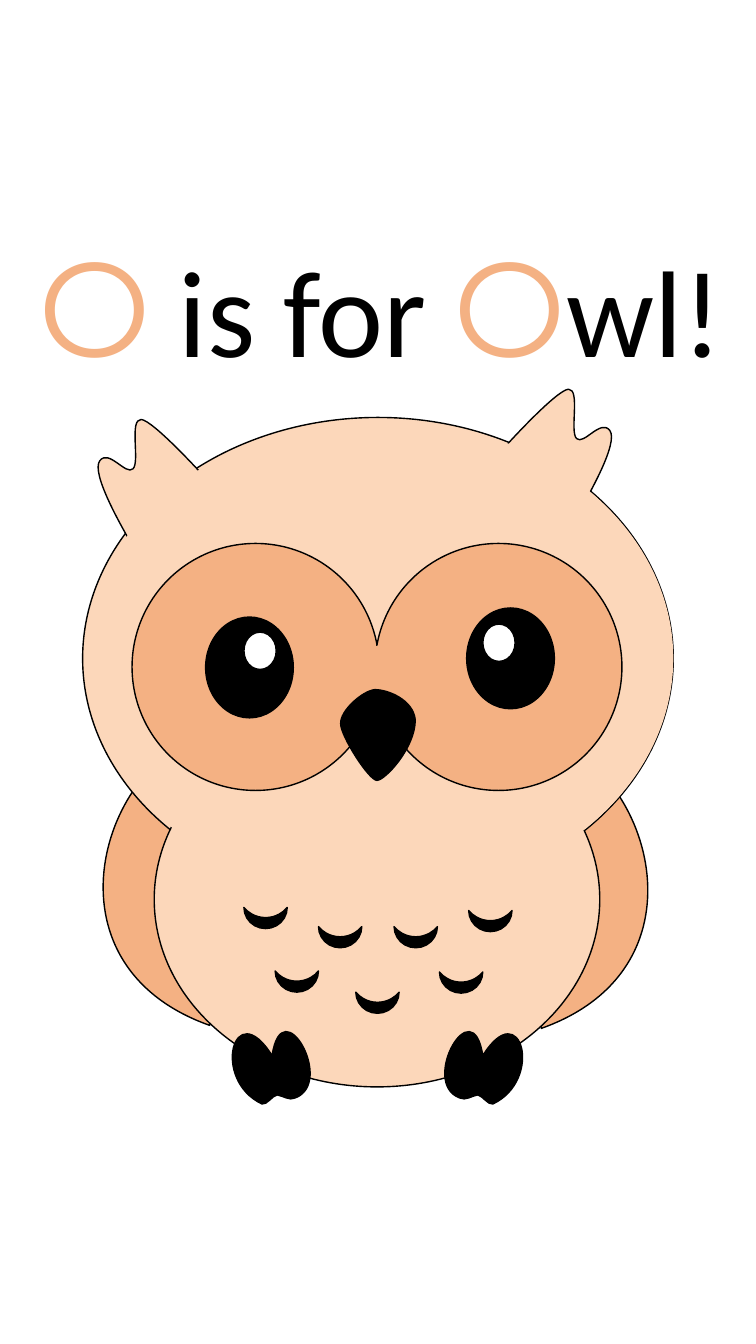
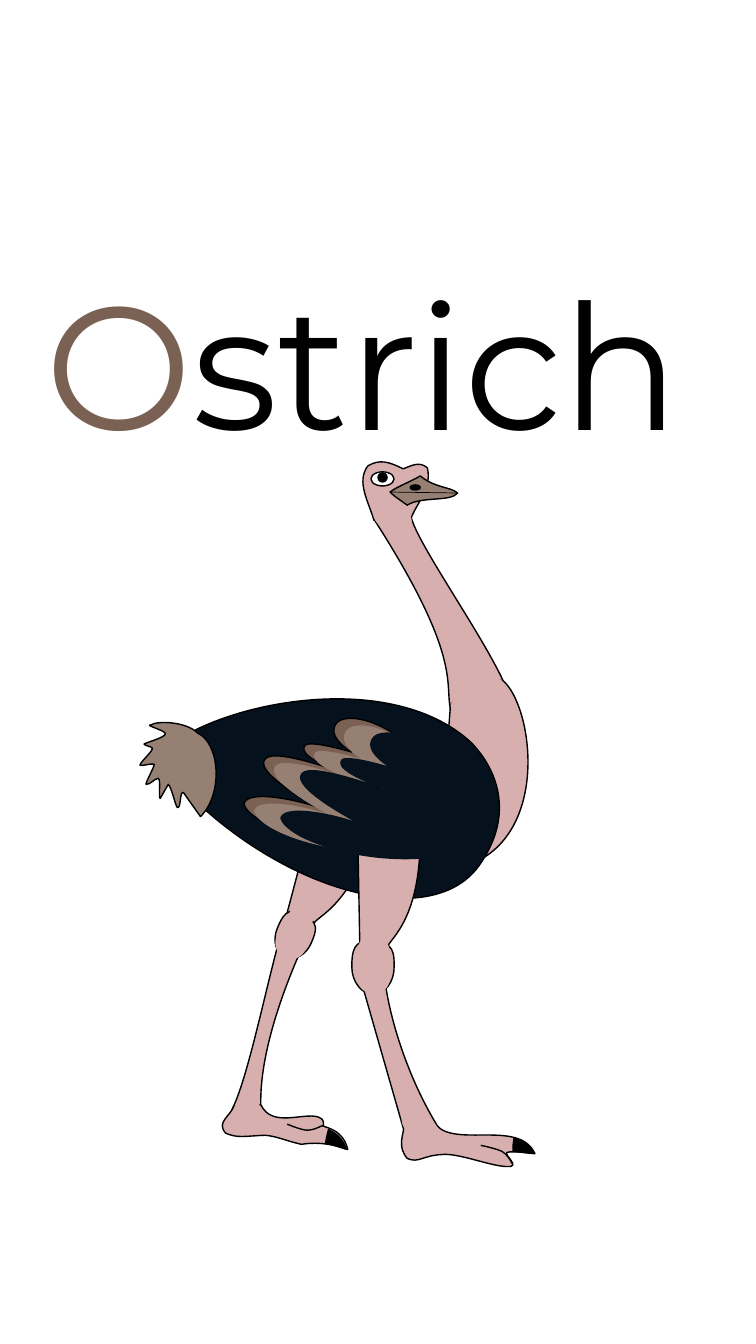
from lxml import etree
from pptx import Presentation
from pptx.dml.color import RGBColor
from pptx.enum.shapes import MSO_CONNECTOR, MSO_SHAPE
from pptx.enum.text import MSO_AUTO_SIZE, PP_ALIGN
from pptx.oxml.ns import qn
from pptx.util import Cm, Pt

OVAL, MOON = MSO_SHAPE.OVAL, MSO_SHAPE.MOON
STRAIGHT = MSO_CONNECTOR.STRAIGHT
GROW = MSO_AUTO_SIZE.SHAPE_TO_FIT_TEXT
CENTER, LEFT = PP_ALIGN.CENTER, PP_ALIGN.LEFT

BLACK, WHITE = "000000", "FFFFFF"
CREAM, ORANGE = "FCD7BA", "F4B183"
PINK, NAVY, BROWN, TAUPE = "D7AFAF", "06111E", "7A6153", "968074"
CM_PER_INCH = 2.54
CURVE_STEPS = 24

OWL_TITLE = dict(
    box=(-0.75, 2.16, 9.33, 1.72), align=CENTER,
    runs=[("O", 96, "Montserrat", ORANGE, True),
          (" is for ", 88, "Calibri", BLACK, False),
          ("O", 96, "Montserrat", ORANGE, True),
          ("wl! ", 88, "Calibri", BLACK, False)])
OSTRICH_TITLE = dict(
    box=(0.35, 2.48, 9.15, 2.2), align=LEFT,
    runs=[("O", 125, "Montserrat", BROWN, True),
          ("strich", 125, "Montserrat", BLACK, False)])

WING = "M 2.08 10.17 L 2.08 7.27 C 1.02 7.53 0.36 9.56 2.08 10.17 Z"
FOOT = """M 4.56 10.89 C 4.16 10.74 4.69 9.8 4.79 10.47
    C 5.17 9.86 5.4 10.71 4.89 10.95 C 4.84 10.96 4.79 10.87 4.74 10.86
    C 4.68 10.87 4.62 10.92 4.56 10.89 Z"""
EAR = """M 1.29 5.37 C 1.2 5.21 0.9 4.69 0.99 4.57 C 1.08 4.45 1.25 4.72 1.32 4.65
    C 1.39 4.58 1.28 4.16 1.4 4.16 C 1.52 4.17 2.01 4.71 2.01 4.71"""
OWL_BEAK = """M 3.38 7.18 C 3.37 7.05 3.6 6.85 3.72 6.84 C 3.85 6.84 4.1 6.94 4.12 7.14
    C 4.12 7.42 3.82 7.74 3.74 7.74 C 3.66 7.74 3.38 7.3 3.38 7.18 Z"""

OWL = [
    (WING, ORANGE, True),
    (WING, ORANGE, True, (7.45, 0.03, -1)),
    ((0.82, 4.14, 5.86, 4.78), CREAM, True),
    ((1.53, 7.06, 4.42, 3.72), CREAM, True),
    (FOOT, BLACK, True),
    (FOOT, BLACK, True, (7.49, 0, -1)),
    (EAR, CREAM, True),
    (EAR, CREAM, True, (7.04, -0.3, -1)),
    ((0.85, 4.16, 5.83, 4.74), CREAM, False),
    ((1.31, 5.39, 2.45, 2.45), ORANGE, True),
    ((3.72, 5.39, 2.45, 2.45), ORANGE, True),
    ((2.04, 6.12, 0.87, 1), BLACK, True),
    ((2.42, 6.27, 0.32, 0.37), WHITE, True),
    ((4.63, 6.03, 0.87, 1), BLACK, True),
    ((4.79, 6.19, 0.32, 0.37), WHITE, True),
    ((3.6, 6.4, 0.32, 0.58), ORANGE, False),
    (OWL_BEAK, BLACK, True),
]
BREAST_FEATHERS = [(2.53, 8.89), (3.27, 9.08), (4.02, 9.08), (4.76, 8.92),
                   (2.84, 9.52), (3.64, 9.73), (4.47, 9.53)]

FAR_THIGH = """M 3.78 7.92 L 3.12 8.03 L 2.85 9.05 L 3.12 9.15
    C 3.19 9.06 3.57 8.93 3.78 7.92 Z"""
HEAD = """M 4.24 4.64 C 4.16 4.57 4.08 4.62 4 4.65 C 3.86 4.58 3.77 4.55 3.65 4.62
    C 3.53 4.78 3.66 4.98 3.71 5.16 L 4.07 5.16 C 4.13 4.99 4.29 4.84 4.24 4.64 Z"""
BEAK = """M 4.17 4.72 C 4.07 4.78 3.93 4.83 3.87 4.88 C 3.93 4.94 3.99 4.97 4.04 5.01
    C 4.18 4.92 4.47 4.98 4.54 4.89 C 4.48 4.83 4.31 4.84 4.17 4.72 Z"""
NECK = """M 4.08 5.13 L 3.71 5.15 C 4.59 6.52 4.41 6.78 4.47 7.04
    C 4.61 6.87 4.8 6.79 5 6.77 C 4.77 6.27 4.14 5.39 4.08 5.13 Z"""
CHEST = """M 4.99 6.75 C 4.81 6.71 4.63 6.79 4.47 6.99 L 4.35 8.57 L 4.72 8.55
    C 5.45 8.2 5.28 7 4.99 6.75 Z"""
BODY = """M 4.67 7.36 C 3.84 6.6 2.09 6.99 1.61 7.46 L 1.64 7.63
    C 2.65 8.81 4.25 9.28 4.75 8.59 C 5.13 8.06 4.91 7.6 4.67 7.36 Z"""
TAIL = """M 1.96 7.27 C 1.84 7.15 1.55 7.15 1.5 7.19 C 1.42 7.19 1.66 7.25 1.64 7.28
    C 1.63 7.32 1.46 7.36 1.43 7.38 C 1.44 7.4 1.5 7.4 1.51 7.42
    C 1.53 7.44 1.38 7.57 1.39 7.59 C 1.41 7.6 1.5 7.57 1.53 7.58
    C 1.54 7.59 1.44 7.77 1.45 7.78 C 1.5 7.78 1.52 7.73 1.57 7.72
    C 1.6 7.73 1.57 7.91 1.59 7.92 L 1.67 7.78 C 1.7 7.8 1.74 7.99 1.76 8.01
    C 1.8 8.02 1.78 7.85 1.82 7.86 L 1.99 8.1 C 2.22 7.87 2.18 7.37 1.96 7.27 Z"""
NEAR_THIGH = """M 4.16 8.02 L 3.55 8.3 L 3.57 9.37 L 3.85 9.38
    C 3.9 9.28 4.23 9.05 4.16 8.02 Z"""
NEAR_KNEE = """M 3.91 9.59 C 3.91 9.45 3.91 9.35 3.7 9.33 C 3.5 9.31 3.49 9.45 3.49 9.59
    C 3.49 9.74 3.59 9.86 3.7 9.86 C 3.82 9.86 3.91 9.74 3.91 9.59 Z"""
NEAR_SHIN = """M 3.83 9.8 L 3.6 9.79 L 4.01 11.22 L 4.36 11.2
    C 4.09 10.77 3.9 10.23 3.83 9.8 Z"""
NEAR_FOOT = """M 4.33 11.16 L 4.01 11.16 C 4 11.27 3.94 11.37 4.04 11.49
    C 4.16 11.54 4.18 11.46 4.4 11.45 C 4.56 11.44 4.88 11.57 5.03 11.57
    C 5.18 11.58 4.99 11.45 5.03 11.43 C 5.08 11.41 5.35 11.45 5.3 11.43
    C 5.14 11.11 4.52 11.38 4.33 11.16 Z"""
NEAR_TOE = "M 5.08 11.54 C 5.06 11.5 5.03 11.45 4.98 11.42 C 4.92 11.39 4.77 11.36 4.77 11.36"
FAR_KNEE = """M 3.09 9.35 C 3.14 9.23 3.17 9.15 3.01 9.07 C 2.85 8.98 2.8 9.09 2.75 9.21
    C 2.7 9.33 2.74 9.46 2.83 9.5 C 2.93 9.53 3.04 9.47 3.09 9.35 Z"""
FAR_SHIN = """M 2.97 9.46 L 2.75 9.4 C 2.61 9.93 2.45 10.71 2.3 11.01 L 2.59 11.01
    C 2.56 10.5 2.8 9.85 2.97 9.46 Z"""
FAR_FOOT = """M 2.59 10.96 L 2.32 10.97 C 2.29 11.07 2.14 11.13 2.24 11.24
    C 2.36 11.29 2.41 11.27 2.63 11.26 C 2.75 11.27 2.85 11.32 2.99 11.35
    C 3.26 11.31 3.41 11.4 3.45 11.4 C 3.4 11.17 3.16 11.18 3.21 11.16
    C 3.21 11.09 3.19 11.1 3.16 11.08 C 3.01 11.03 2.7 11.19 2.59 10.96 Z"""
PLUMAGE = """M 4.47 7.89 C 4.04 7.17 3.48 7.05 3.35 7.16 C 3.21 7.3 3.5 7.47 3.49 7.46
    C 3.49 7.46 3.09 7.34 3.03 7.39 C 2.91 7.52 3.52 7.71 3.55 7.71
    C 3.49 7.7 2.72 7.4 2.63 7.53 C 2.51 7.67 3.16 8.01 3.18 8.02
    C 3.15 7.99 2.47 7.8 2.42 7.97 C 2.47 8.24 3.74 8.61 4.47 8.2
    C 4.47 8.1 4.47 8 4.47 7.89 Z"""
NECK_JOINT = """M 4.77 6.98 C 4.86 6.94 5.01 6.84 4.99 6.77 C 4.97 6.7 4.83 6.71 4.68 6.77
    C 4.54 6.84 4.46 6.98 4.47 7.01 C 4.49 7.04 4.68 7.02 4.77 6.98 Z"""
FAR_KNEE_JOINT = """M 3.04 9.39 C 3.07 9.31 3.08 9.25 2.94 9.19 C 2.8 9.13 2.77 9.21 2.74 9.3
    C 2.71 9.39 2.76 9.48 2.84 9.51 C 2.93 9.53 3.02 9.48 3.04 9.39 Z"""
NEAR_KNEE_JOINT = """M 3.87 9.66 C 3.85 9.57 3.83 9.52 3.68 9.53 C 3.52 9.55 3.54 9.64 3.55 9.73
    C 3.57 9.82 3.66 9.88 3.74 9.86 C 3.83 9.84 3.88 9.75 3.87 9.66 Z"""
NEAR_THIGH_JOINT = """M 3.85 9.52 C 3.87 9.41 3.88 9.33 3.73 9.29 C 3.58 9.24 3.56 9.35 3.54 9.46
    C 3.52 9.58 3.57 9.68 3.66 9.7 C 3.74 9.71 3.83 9.63 3.85 9.52 Z"""
FAR_THIGH_JOINT = """M 3.09 9.16 C 3.15 9.06 3.19 8.99 3.09 8.92 C 2.99 8.84 2.93 8.94 2.88 9.04
    C 2.82 9.14 2.82 9.25 2.88 9.28 C 2.94 9.31 3.04 9.26 3.09 9.16 Z"""
FAR_ANKLE = """M 2.58 11.06 C 2.59 10.99 2.6 10.94 2.48 10.9 C 2.36 10.87 2.34 10.93 2.32 11.01
    C 2.31 11.08 2.35 11.15 2.42 11.16 C 2.5 11.18 2.56 11.13 2.58 11.06 Z"""
NEAR_ANKLE = """M 4.24 11.08 C 4.18 11.04 4.18 10.97 4.07 11.02 C 3.95 11.06 3.98 11.13 4.01 11.19
    C 4.05 11.26 4.13 11.25 4.19 11.25 C 4.25 11.26 4.35 11.27 4.36 11.24
    C 4.37 11.21 4.3 11.11 4.24 11.08 Z"""
THROAT = """M 4.07 5.11 C 4.04 5.02 4.01 4.97 3.86 5.01 C 3.72 5.06 3.64 5.09 3.78 5.23
    C 3.81 5.31 3.91 5.36 3.99 5.32 C 4.07 5.29 4.11 5.19 4.07 5.11 Z"""
NEAR_CLAW = """M 5.1 11.29 L 5.09 11.36 L 5.09 11.42 L 5.1 11.42
    C 5.19 11.43 5.34 11.45 5.3 11.44 C 5.26 11.36 5.19 11.31 5.11 11.29 L 5.1 11.29 Z"""
FAR_CLAW = """M 3.26 11.2 L 3.24 11.28 L 3.23 11.34 L 3.24 11.34
    C 3.33 11.36 3.46 11.41 3.43 11.39 C 3.41 11.31 3.35 11.25 3.27 11.21 L 3.26 11.2 Z"""
FAR_TOE = "M 3.21 11.16 C 3.16 11.18 3.11 11.21 3.05 11.21 C 2.99 11.21 2.85 11.15 2.85 11.15"

OSTRICH = [
    (FAR_THIGH, PINK, True),
    (HEAD, PINK, True),
    (BEAK, TAUPE, True),
    (NECK, PINK, True),
    (CHEST, PINK, True),
    (BODY, NAVY, True),
    (TAIL, TAUPE, True),
    (NEAR_THIGH, PINK, True),
    (NEAR_KNEE, PINK, True),
    (NEAR_SHIN, PINK, True),
    (NEAR_FOOT, PINK, True),
    (NEAR_TOE, PINK, True),
    (FAR_KNEE, PINK, True),
    (FAR_SHIN, PINK, True),
    (FAR_FOOT, PINK, True),
    ((4.07, 4.81, 0.1, 0.05), BLACK, True),
    ((3.68, 4.68, 0.23, 0.14), WHITE, True),
    ((3.75, 4.69, 0.09, 0.09), BLACK, True),
    (PLUMAGE, BROWN, True),
    (PLUMAGE, TAUPE, False, (0.1, 0.07, 1)),
    (PLUMAGE, NAVY, False, (0.36, 0.14, 1)),
    (NECK_JOINT, PINK, False),
    (FAR_KNEE_JOINT, PINK, False),
    (NEAR_KNEE_JOINT, PINK, False),
    (NEAR_THIGH_JOINT, PINK, False),
    (FAR_THIGH_JOINT, PINK, False),
    (FAR_ANKLE, PINK, False),
    (NEAR_ANKLE, PINK, False),
    (THROAT, PINK, False),
    (NEAR_CLAW, BLACK, True),
    (FAR_CLAW, BLACK, True),
    (FAR_TOE, PINK, True),
]
BEAK_SLIT = (3.87, 4.88, 4.54, 4.89)


def length(inches):
    return Cm(inches * CM_PER_INCH)


def lengths(values):
    return [length(value) for value in values]


def color(value):
    return RGBColor.from_string(value)


def paint(shape, fill, outlined):
    shape.shadow.inherit = False
    shape.fill.solid()
    shape.fill.fore_color.rgb = color(fill)
    if outlined:
        shape.line.color.rgb = color(BLACK)
        shape.line.width = Pt(1)
    else:
        shape.line.fill.background()


def read_outline(outline, dx, dy, flip):
    steps = []
    for token in outline.split():
        if token.isalpha():
            steps.append((token, []))
        else:
            steps[-1][1].append(float(token))
    return [(command, [(length(dx + flip * x), length(dy + y))
                       for x, y in zip(numbers[::2], numbers[1::2])])
            for command, numbers in steps]


def curve_points(start, controls):
    for step in range(1, CURVE_STEPS + 1):
        t = step / CURVE_STEPS
        weights = ((1 - t) ** 3, 3 * t * (1 - t) ** 2, 3 * t * t * (1 - t), t ** 3)
        yield tuple(round(sum(w * point[axis] for w, point in zip(weights, [start, *controls])))
                    for axis in (0, 1))


def add_outline(shapes, outline, move):
    steps = read_outline(outline, *move)
    points = []
    for command, controls in steps:
        points.extend(curve_points(points[-1], controls) if command == "C" else controls)
    builder = shapes.build_freeform(*points[0])
    builder.add_line_segments(points[1:], close=steps[-1][0] == "Z")
    shape = builder.convert_to_shape()
    left, top = (min(axis) for axis in zip(*points))
    geometry = shape.element.find(".//" + qn("a:path"))
    for segment in list(geometry):
        geometry.remove(segment)
    tags = {"M": "a:moveTo", "L": "a:lnTo", "C": "a:cubicBezTo", "Z": "a:close"}
    for command, controls in steps:
        segment = etree.SubElement(geometry, qn(tags[command]))
        for x, y in controls:
            etree.SubElement(segment, qn("a:pt"), x=str(x - left), y=str(y - top))
    return shape


def add_animal(slide, parts):
    shapes = slide.shapes.add_group_shape().shapes
    for geometry, fill, outlined, *move in parts:
        if isinstance(geometry, str):
            shape = add_outline(shapes, geometry, move[0] if move else (0, 0, 1))
        else:
            shape = shapes.add_shape(OVAL, *lengths(geometry))
        paint(shape, fill, outlined)
    return shapes


def add_title(slide, box, align, runs):
    frame = slide.shapes.add_textbox(*lengths(box)).text_frame
    frame.word_wrap = True
    frame.auto_size = GROW
    paragraph = frame.paragraphs[0]
    paragraph.alignment = align
    for text, size, font, fill, outlined in runs:
        run = paragraph.add_run()
        run.text = text
        run.font.size = Pt(size)
        run.font.name = font
        run.font.color.rgb = color(fill)
        if outlined:
            border = etree.Element(qn("a:ln"), w=str(Pt(0.75)))
            solid = etree.SubElement(border, qn("a:solidFill"))
            etree.SubElement(solid, qn("a:srgbClr"), val=BLACK)
            run.font._element.insert(0, border)


def main():
    deck = Presentation()
    deck.slide_width, deck.slide_height = length(7.5), length(13.33)
    blank = deck.slide_layouts[6]

    owl_slide = deck.slides.add_slide(blank)
    add_title(owl_slide, **OWL_TITLE)
    owl = add_animal(owl_slide, OWL)
    for x, y in BREAST_FEATHERS:
        feather = owl.add_shape(MOON, *lengths((x, y, 0.21, 0.43)))
        feather.adjustments[0] = 0.52
        feather.rotation = 270
        paint(feather, BLACK, True)

    ostrich_slide = deck.slides.add_slide(blank)
    add_title(ostrich_slide, **OSTRICH_TITLE)
    ostrich = add_animal(ostrich_slide, OSTRICH)
    slit = ostrich.add_connector(STRAIGHT, *lengths(BEAK_SLIT))
    slit.line.color.rgb = color(BLACK)
    slit.line.width = Pt(0.5)
    etree.SubElement(slit.element.spPr, qn("a:effectLst"))

    deck.save("out.pptx")


if __name__ == "__main__":
    main()
